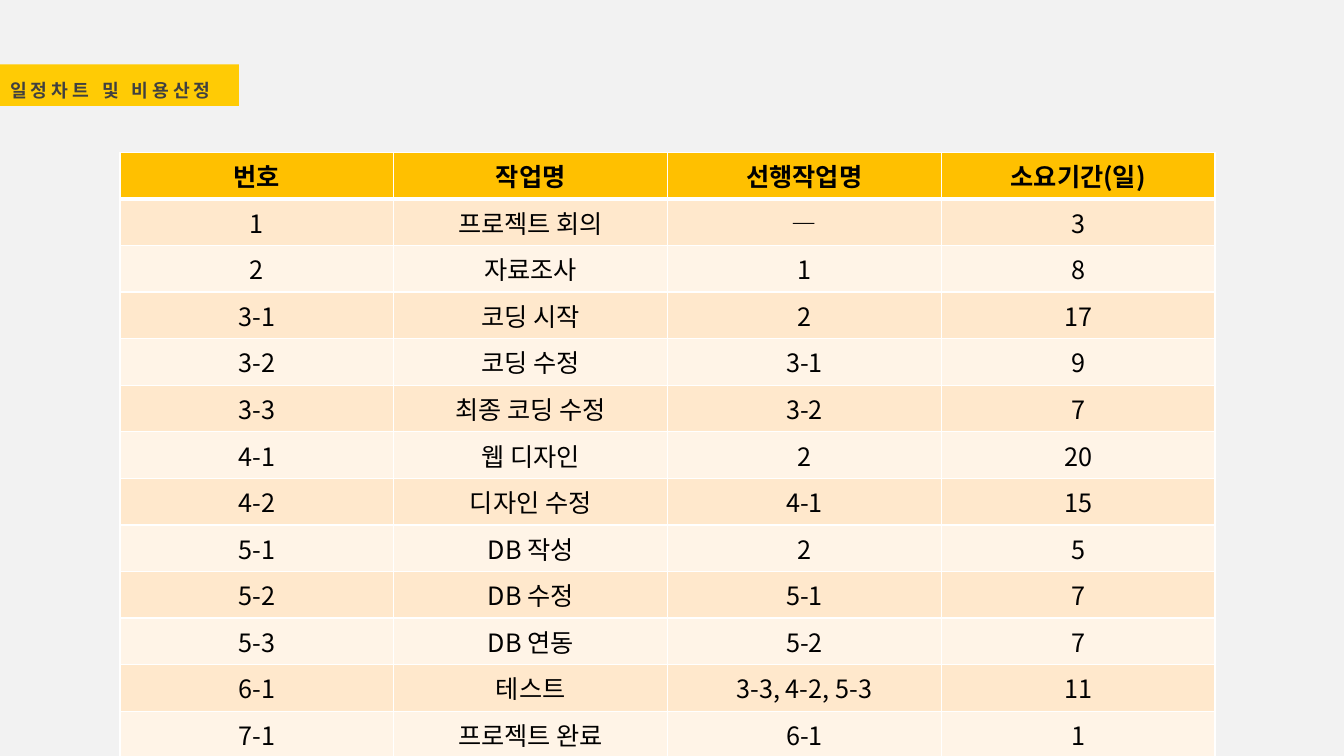
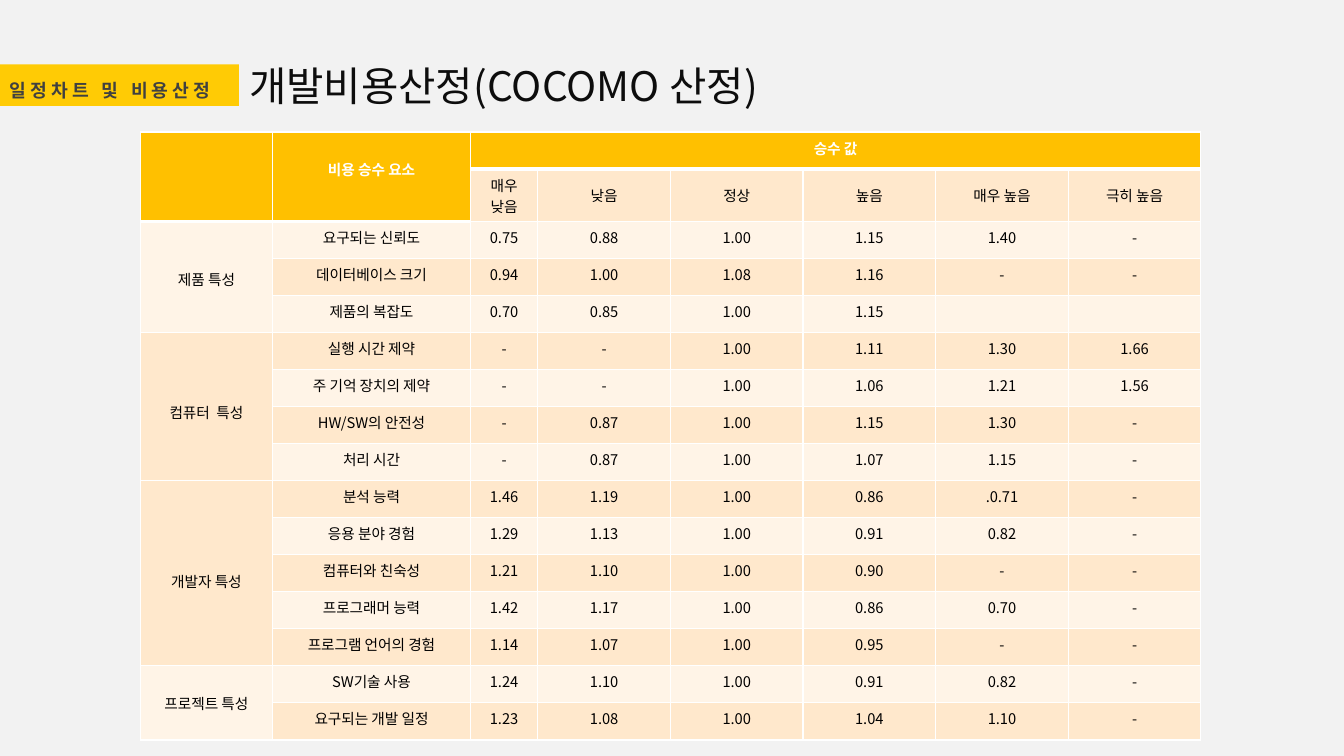
from lxml.etree import SubElement
from pptx import Presentation
from pptx.dml.color import RGBColor
from pptx.enum.text import MSO_ANCHOR, MSO_AUTO_SIZE, PP_ALIGN
from pptx.oxml.ns import qn
from pptx.util import Inches, Pt

WIDE, HIGH = Inches(13.33), Inches(7.5)
FACE = "Noto Sans CJK KR"
PAPER = RGBColor(0xF2, 0xF2, 0xF2)
BAND = RGBColor(0xFF, 0xCB, 0x05)
HEAD = RGBColor(0xFF, 0xC0, 0x00)
LIGHT = RGBColor(0xFF, 0xF4, 0xE7)
DARK = RGBColor(0xFF, 0xE8, 0xCC)
WHITE = RGBColor(0xFF, 0xFF, 0xFF)
BLACK = RGBColor(0x00, 0x00, 0x00)
GREY = RGBColor(0x40, 0x40, 0x40)
INK = RGBColor(0x0D, 0x0D, 0x0D)

TAG = "일정차트 및 비용산정"
TAG_BOX = (0, 8.53, 17.78, 5.47)
TITLE_BOX = (17.78, 7.47, 44.18, 7.87)
TAG_FONT = {"size": Pt(13), "bold": True}
TITLE_FONT = {"size": Pt(29), "bold": False}
FRAME = {
    "word_wrap": True, "auto_size": MSO_AUTO_SIZE.NONE,
    "vertical_anchor": MSO_ANCHOR.TOP,
    "margin_left": Inches(0.1), "margin_right": 0,
    "margin_top": Inches(0.04), "margin_bottom": 0,
}
PLAIN = {"first_row": False, "horz_banding": False}

TASKS = [
    "번호|작업명|선행작업명|소요기간(일)",
    "1|프로젝트 회의|―|3",
    "2|자료조사|1|8",
    "3-1|코딩 시작|2|17",
    "3-2|코딩 수정|3-1|9",
    "3-3|최종 코딩 수정|3-2|7",
    "4-1|웹 디자인|2|20",
    "4-2|디자인 수정|4-1|15",
    "5-1|DB 작성|2|5",
    "5-2|DB 수정|5-1|7",
    "5-3|DB 연동|5-2|7",
    "6-1|테스트|3-3, 4-2, 5-3|11",
    "7-1|프로젝트 완료|6-1|1",
]
COSTS = [
    "|비용 승수 요소|승수 값|||||",
    "||매우 낮음|낮음|정상|높음|매우 높음|극히 높음",
    "제품 특성|요구되는 신뢰도|0.75|0.88|1.00|1.15|1.40|-",
    "|데이터베이스 크기|0.94|1.00|1.08|1.16|-|-",
    "|제품의 복잡도|0.70|0.85|1.00|1.15||",
    "컴퓨터  특성|실행 시간 제약|-|-|1.00|1.11|1.30|1.66",
    "|주 기억 장치의 제약|-|-|1.00|1.06|1.21|1.56",
    "|HW/SW의 안전성|-|0.87|1.00|1.15|1.30|-",
    "|처리 시간|-|0.87|1.00|1.07|1.15|-",
    "개발자 특성|분석 능력|1.46|1.19|1.00|0.86|.0.71|-",
    "|응용 분야 경험|1.29|1.13|1.00|0.91|0.82|-",
    "|컴퓨터와 친숙성|1.21|1.10|1.00|0.90|-|-",
    "|프로그래머 능력|1.42|1.17|1.00|0.86|0.70|-",
    "|프로그램 언어의 경험|1.14|1.07|1.00|0.95|-|-",
    "프로젝트 특성|SW기술 사용|1.24|1.10|1.00|0.91|0.82|-",
    "|요구되는 개발 일정|1.23|1.08|1.00|1.04|1.10|-",
]
SPANS = [(0, 0, 2), (0, 1, 2), (2, 0, 3), (5, 0, 4), (9, 0, 5), (14, 0, 2)]


def across(share):
    """Turn a percentage of the slide's width into a length."""
    return int(WIDE * share / 100)


def down(share):
    """Turn a percentage of the slide's height into a length."""
    return int(HIGH * share / 100)


def apply(item, looks):
    """Set each attribute named in a dict of format values."""
    for name, value in looks.items():
        setattr(item, name, value)


def write(par, text, font, ink):
    """Fill a paragraph with one styled run, or size it when empty."""
    if not text:
        par._p.get_or_add_endParaRPr().set("sz", str(int(font["size"].pt * 100)))
        return None
    run = par.add_run()
    run.text = text
    apply(run.font, {**font, "name": FACE})
    run.font.color.rgb = ink
    props = run.font._element
    SubElement(props, qn("a:ea")).set("typeface", FACE)
    return props


def place(shape, box):
    """Move a shape to its share of the slide and set its frame."""
    left, top, width, height = box
    apply(shape, {"left": across(left), "top": down(top),
                  "width": across(width), "height": down(height)})
    apply(shape.text_frame, FRAME)
    return shape.text_frame.paragraphs[0]


def add_tag(shape):
    """Turn a shape into the yellow section tag."""
    par = place(shape, TAG_BOX)
    shape.fill.solid()
    shape.fill.fore_color.rgb = BAND
    apply(par, {"line_spacing": 1.5, "alignment": PP_ALIGN.LEFT})
    write(par, TAG, TAG_FONT, GREY).set("spc", "300")


def add_title(shape, text):
    """Set the headline beside the section tag."""
    par = place(shape, TITLE_BOX)
    par.alignment = PP_ALIGN.LEFT
    write(par, text, TITLE_FONT, INK)


def edge(cell, base):
    """Draw white borders round a cell, with its own base width."""
    props = cell._tc.get_or_add_tcPr()
    for side, width in zip("LRTB", (1, 1, 1, base)):
        line = SubElement(props, qn("a:ln" + side), w=str(Pt(width)))
        fill = SubElement(line, qn("a:solidFill"))
        SubElement(fill, qn("a:srgbClr"), val=str(WHITE))


def add_grid(slide, spot, cols, rows, lines, size, ink, heads):
    """Add a banded table whose head cells are given by a test."""
    left, top = spot
    frame = slide.shapes.add_table(len(rows), len(cols), across(left), down(top),
                                   across(sum(cols)), down(sum(rows)))
    table = frame.table
    apply(table, PLAIN)
    for col, share in zip(table.columns, cols):
        col.width = across(share)
    for row, share in zip(table.rows, rows):
        row.height = down(share)
    for r, line in enumerate(lines):
        for c, text in enumerate(line.split("|")):
            cell, head = table.cell(r, c), heads(r, c)
            edge(cell, 3 if head else 1)
            cell.fill.solid()
            cell.fill.fore_color.rgb = HEAD if head else DARK if r % 2 else LIGHT
            par = cell.text_frame.paragraphs[0]
            par.alignment = PP_ALIGN.CENTER
            font = {"size": Pt(size), "bold": head}
            write(par, text, font, ink if head else BLACK)
    return table


def add_tasks(slide):
    """Add the schedule of tasks."""
    add_grid(slide, (8.93, 20.13), [20.37] * 4, [6.13] * len(TASKS), TASKS,
             18, BLACK, lambda r, c: r == 0)


def add_costs(slide):
    """Add the cost factors with their merged groups."""
    cols = [9.87, 14.7, 5.02] + [9.87] * 5
    rows = [4.9, 6.2] + [4.9] * (len(COSTS) - 2)
    table = add_grid(slide, (10.43, 17.47), cols, rows, COSTS, 10.5, WHITE,
                     lambda r, c: r == 0 or (r == 1 and c < 2))
    for r, c, span in SPANS:
        cell = table.cell(r, c)
        cell.merge(table.cell(r + span - 1, c))
        cell.margin_top = Inches(0.05 + 0.21 * (span - 1))
    table.cell(0, 2).merge(table.cell(0, 7))
    table.cell(1, 2).margin_bottom = 0
    for c in range(3, 8):
        table.cell(1, c).vertical_anchor = MSO_ANCHOR.MIDDLE


def main():
    """Build and save the slides."""
    deck = Presentation()
    apply(deck, {"slide_width": WIDE, "slide_height": HIGH})
    back = deck.slide_master.background.fill
    back.solid()
    back.fore_color.rgb = PAPER
    plan, cost = [deck.slides.add_slide(deck.slide_layouts[5]) for _ in range(2)]
    add_tag(plan.shapes.title)
    add_tasks(plan)
    add_tag(cost.shapes.add_textbox(0, 0, 0, 0))
    add_title(cost.shapes.title, "개발비용산정(COCOMO 산정)")
    add_costs(cost)
    deck.save("out.pptx")


if __name__ == "__main__":
    main()
